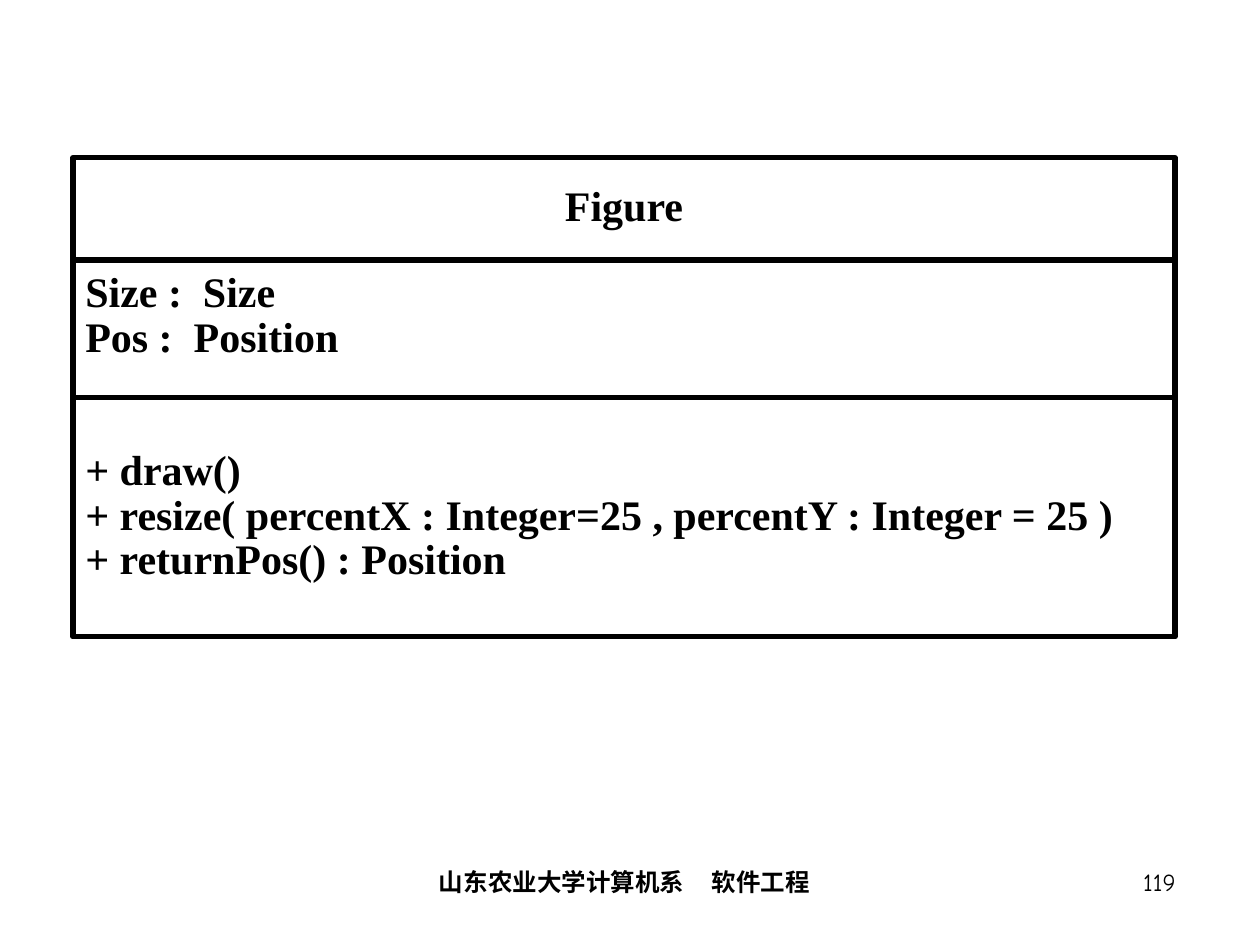
from lxml.etree import SubElement
from pptx import Presentation
from pptx.dml.color import RGBColor
from pptx.enum.shapes import MSO_SHAPE
from pptx.enum.text import MSO_ANCHOR as Anchor, PP_ALIGN as Align
from pptx.oxml.ns import qn
from pptx.util import Cm, Pt

BLACK = RGBColor(0x00, 0x00, 0x00)

CLASS_FONT = {"name": "Times New Roman", "size": Pt(24), "bold": True}
FOOTER_FONT = {"name": "Comic Neue", "size": Pt(14)}


def write_paragraph(paragraph, text, align, font_format):
    paragraph.alignment = align
    run = paragraph.add_run()
    run.text = text
    for attribute, value in font_format.items():
        setattr(run.font, attribute, value)
    run.font.color.rgb = BLACK


prs = Presentation()
prs.slide_width, prs.slide_height = Cm(25.4), Cm(19.05)
slide = prs.slides.add_slide(prs.slide_layouts[6])

# Class diagram: name, attributes and operations stacked without gaps.
# Each entry: height, bottom inset, alignment, lines
compartments = [
    (2.06, 0.13, Align.CENTER, ["Figure"]),
    (2.77, 0.61, Align.JUSTIFY, ["Size :  Size", "Pos :  Position"]),
    (4.83, 0.13, Align.LEFT, [
        "+ draw()",
        "+ resize( percentX : Integer=25 , percentY : Integer = 25 )",
        "+ returnPos() : Position",
    ]),
]
top = 3.18
for height, bottom_inset, align, lines in compartments:
    compartment = slide.shapes.add_shape(
        MSO_SHAPE.RECTANGLE, Cm(1.47), Cm(top), Cm(22.22), Cm(height))
    compartment.shadow.inherit = False
    compartment.fill.background()
    compartment.line.color.rgb = BLACK
    compartment.line.width = Pt(3)
    frame = compartment.text_frame
    frame.word_wrap = True
    frame.vertical_anchor = Anchor.MIDDLE
    frame.margin_bottom = Cm(bottom_inset)
    for index, line in enumerate(lines):
        paragraph = frame.add_paragraph() if index else frame.paragraphs[0]
        paragraph.line_spacing = 0.88
        write_paragraph(paragraph, line, align, CLASS_FONT)
    top += height

# Footer: department and course, set apart by a tab stop
course = slide.shapes.add_textbox(Cm(5.08), Cm(17.35), Cm(15.04), Cm(1.27))
course.text_frame.word_wrap = True
course.text_frame.margin_left = Cm(3.77)
course_line = course.text_frame.paragraphs[0]
tab_list = SubElement(course_line._p.get_or_add_pPr(), qn("a:tabLst"))
SubElement(tab_list, qn("a:tab"), pos=str(Cm(5.5)), algn="l")
write_paragraph(course_line, "山东农业大学计算机系\t软件工程", Align.LEFT,
                FOOTER_FONT | {"bold": True})

page_number = slide.shapes.add_textbox(Cm(18.67), Cm(17.35), Cm(5.28), Cm(1.27))
page_number.text_frame.word_wrap = True
write_paragraph(page_number.text_frame.paragraphs[0], "119", Align.RIGHT, FOOTER_FONT)

prs.save("out.pptx")
